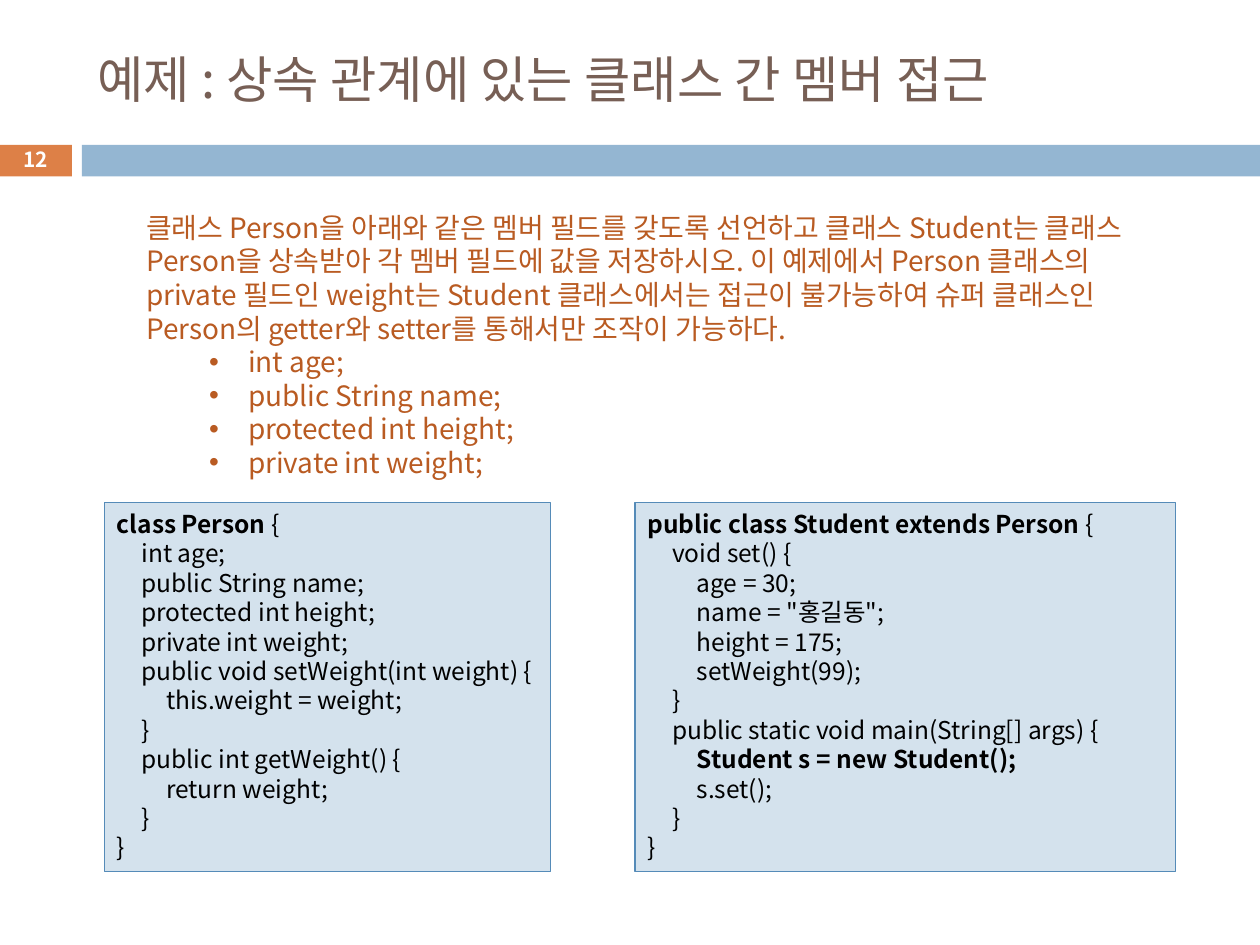
from lxml.etree import SubElement
from pptx import Presentation
from pptx.dml.color import RGBColor
from pptx.enum.shapes import MSO_SHAPE as Shape
from pptx.enum.text import MSO_ANCHOR as Anchor, MSO_AUTO_SIZE as AutoSize, PP_ALIGN as Align
from pptx.oxml.ns import qn
from pptx.util import Inches, Pt

FONT = "Noto Sans CJK KR"
ORANGE = RGBColor(0xDD, 0x80, 0x47)
BLUE = RGBColor(0x94, 0xB6, 0xD2)
PALE_BLUE = RGBColor(0xD4, 0xE2, 0xED)
EDGE_BLUE = RGBColor(0x55, 0x8B, 0xB8)
BROWN = RGBColor(0x77, 0x5F, 0x55)
RUST = RGBColor(0xB9, 0x5B, 0x22)
WHITE = RGBColor(0xFF, 0xFF, 0xFF)
BLACK = RGBColor(0, 0, 0)

TITLE = "예제 : 상속 관계에 있는 클래스 간 멤버 접근"
PAGE_NUMBER = "12"
TASK = (
    "클래스 Person을 아래와 같은 멤버 필드를 갖도록 선언하고 클래스 Student는 "
    "클래스 Person을 상속받아 각 멤버 필드에 값을 저장하시오. 이 예제에서 Person "
    "클래스의 private 필드인 weight는 Student 클래스에서는 접근이 불가능하여 슈퍼 "
    "클래스인 Person의 getter와 setter를 통해서만 조작이 가능하다."
)
FIELDS = ["int age;", "public String name;", "protected int height;", "private int weight;"]

# Text between ** marks is bold.
STUDENT_CODE = """**public class Student extends Person **{
\tvoid set() {
\t\tage = 30;
\t\tname = "홍길동";
\t\theight = 175;
\t\tsetWeight(99);
\t}
\tpublic static void main(String[] args) {
\t\t**Student s = new Student();**
\t\ts.set();
\t}
}"""
PERSON_CODE = """**class Person **{
\tint age;
\tpublic String name;
\tprotected int height;
\tprivate int weight;
\tpublic void setWeight(int weight) {
\t\tthis.weight = weight;
\t}
\tpublic int getWeight() {
\t\treturn weight;
\t}
}"""
CODE_BOXES = [(5.04, 4.29, STUDENT_CODE), (0.83, 3.54, PERSON_CODE)]
CODE_TOP, CODE_HEIGHT, TAB_STEP = 3.99, 2.93, 0.195


def place(shape, left, top, width, height):
    shape.left, shape.top = Inches(left), Inches(top)
    shape.width, shape.height = Inches(width), Inches(height)


def add_bar(slide, left, top, width, height, fill, line=None):
    bar = slide.shapes.add_shape(
        Shape.RECTANGLE, Inches(left), Inches(top), Inches(width), Inches(height))
    bar.shadow.inherit = False
    bar.fill.solid()
    bar.fill.fore_color.rgb = fill
    if line is None:
        bar.line.fill.background()
    else:
        bar.line.color.rgb = line
        bar.line.width = Pt(0.75)
    return bar


def write(shape, lines, size, color, bold=False, align=Align.LEFT, anchor=Anchor.TOP, spacing=None):
    """Fill a shape with one paragraph per line; ** toggles bold."""
    frame = shape.text_frame
    frame.word_wrap = True
    frame.auto_size = AutoSize.NONE
    frame.vertical_anchor = anchor
    for index, line in enumerate(lines):
        para = frame.add_paragraph() if index else frame.paragraphs[0]
        para.alignment = align
        para.space_before = para.space_after = Pt(0)
        if spacing:
            para.line_spacing = Pt(spacing)
        for part, text in enumerate(line.split("**")):
            if not text:
                continue
            span = para.add_run()
            span.text = text
            span.font.size = Pt(size)
            span.font.bold = bold or part % 2 == 1
            span.font.color.rgb = color
            span.font.name = FONT
    return frame.paragraphs


def set_bullet(para, char=None, left=0, hanging=0):
    props = para._p.get_or_add_pPr()
    props.set("marL", str(Inches(left)))
    props.set("indent", str(-Inches(hanging)))
    if char:
        SubElement(props, qn("a:buFont"), typeface="Arial")
        SubElement(props, qn("a:buChar"), char=char)
    else:
        SubElement(props, qn("a:buNone"))


def set_tabs(para, step, count=2):
    stops = SubElement(para._p.get_or_add_pPr(), qn("a:tabLst"))
    for number in range(1, count + 1):
        SubElement(stops, qn("a:tab"), pos=str(Inches(step * number)), algn="l")


def main():
    deck = Presentation()
    deck.slide_width, deck.slide_height = Inches(10), Inches(7.5)
    slide = deck.slides.add_slide(deck.slide_layouts[1])
    title, body = slide.placeholders

    number_bar = add_bar(slide, -0.01, 1.15, 0.58, 0.25, ORANGE)
    number_bar.text_frame.margin_top = 0
    number_bar.text_frame.margin_bottom = Inches(0.02)
    write(number_bar, [PAGE_NUMBER], 11.9, WHITE, bold=True,
          align=Align.CENTER, anchor=Anchor.MIDDLE)
    add_bar(slide, 0.65, 1.15, 9.35, 0.25, BLUE)

    place(title, 0.67, 0.25, 8.92, 0.74)
    write(title, [TITLE], 28.8, BROWN, anchor=Anchor.MIDDLE)

    place(body, 1.06, 1.62, 8.27, 2.26)
    body.text_frame.margin_right = Inches(0.23)
    task, *fields = write(body, [TASK, *FIELDS], 16, RUST, spacing=19.2)
    set_bullet(task)
    for field in fields:
        field.level = 1
        set_bullet(field, "•", left=0.81, hanging=0.31)

    for left, width, code in CODE_BOXES:
        box = add_bar(slide, left, CODE_TOP, width, CODE_HEIGHT, PALE_BLUE, EDGE_BLUE)
        for para in write(box, code.split("\n"), 14, BLACK, spacing=16.8):
            set_tabs(para, TAB_STEP)

    deck.save("out.pptx")


if __name__ == "__main__":
    main()
